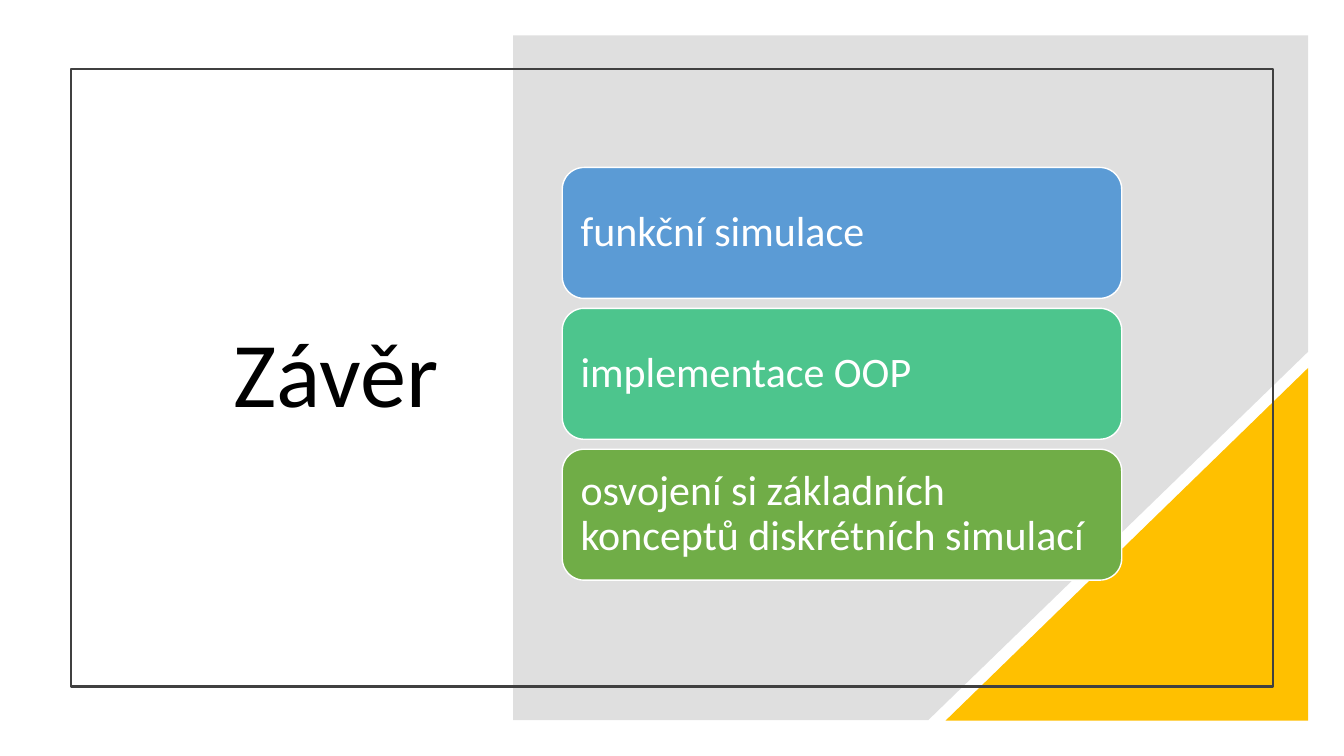
import pptx
import pptx.util
import pptx.dml.color
import pptx.enum.shapes
import pptx.enum.text
import lxml.etree

Cm, Pt = pptx.util.Cm, pptx.util.Pt
SHAPE = pptx.enum.shapes.MSO_SHAPE
ALIGN = pptx.enum.text.PP_ALIGN

TITLE = "Závěr"
CARDS = [
    ("funkční simulace", "5B9BD5"),
    ("implementace OOP", "4DC58D"),
    ("osvojení si základních konceptů diskrétních simulací", "70AD47"),
]
TITLE_BOX = (2.79, 3.3, 8.51, 12.45)
PANEL = [(12.93, 0.89), (32.97, 0.89), (32.97, 8.86), (23.39, 18.15), (12.93, 18.15)]
CORNER = (23.83, 9.27, 9.14, 8.89)
FRAME = (1.78, 1.73, 30.3, 15.57)
CARD_LEFT, CARD_TOP, CARD_W, CARD_H, CARD_GAP = 14.17, 4.22, 14.1, 3.3, 0.25
CARD_INSET = 0.3


def color(value):
    return pptx.dml.color.RGBColor.from_string(value)


def write(tf, text, size=30, fill="FFFFFF", align=ALIGN.LEFT):
    tf.word_wrap = True
    tf.auto_size = pptx.enum.text.MSO_AUTO_SIZE.NONE
    tf.vertical_anchor = pptx.enum.text.MSO_ANCHOR.MIDDLE
    p = tf.paragraphs[0]
    p.alignment = align
    p.line_spacing = 0.9
    r = p.add_run()
    r.text = text
    r.font.name = "Calibri"
    r.font.size = Pt(size)
    r.font.color.rgb = color(fill)


def paint(sp, fill=None, line=None, width=1):
    sp.shadow.inherit = False
    if fill:
        sp.fill.solid()
        sp.fill.fore_color.rgb = color(fill)
    else:
        sp.fill.background()
    if line:
        sp.line.color.rgb = color(line)
        sp.line.width = Pt(width)
    else:
        sp.line.fill.background()


def add_shape(s, kind, box, **look):
    sp = s.shapes.add_shape(kind, *(Cm(v) for v in box))
    paint(sp, **look)
    return sp


def add_panel(s):
    points = [(Cm(x), Cm(y)) for x, y in PANEL]
    builder = s.shapes.build_freeform(*points[0])
    builder.add_line_segments(points[1:], close=True)
    sp = builder.convert_to_shape()
    paint(sp, fill="808080")
    tint = sp.fill._xPr.find(".//" + pptx.oxml.ns.qn("a:srgbClr"))
    lxml.etree.SubElement(tint, pptx.oxml.ns.qn("a:alpha"), val="25000")


def add_cards(s):
    for i, (text, fill) in enumerate(CARDS):
        top = CARD_TOP + i * (CARD_H + CARD_GAP)
        sp = add_shape(s, SHAPE.ROUNDED_RECTANGLE, (CARD_LEFT, top, CARD_W, CARD_H),
                       fill=fill, line="FFFFFF")
        tf = sp.text_frame
        tf.margin_left = tf.margin_right = Cm(CARD_INSET)
        tf.margin_top = tf.margin_bottom = Cm(CARD_INSET)
        write(tf, text)


def main():
    prs = pptx.Presentation()
    prs.slide_width, prs.slide_height = Cm(33.87), Cm(19.05)
    s = prs.slides.add_slide(prs.slide_layouts[5])

    title = s.shapes.title
    title.left, title.top, title.width, title.height = (Cm(v) for v in TITLE_BOX)
    write(title.text_frame, TITLE, size=66, fill="000000", align=ALIGN.RIGHT)

    add_panel(s)
    corner = add_shape(s, SHAPE.RIGHT_TRIANGLE, CORNER, fill="FFC000")
    corner._element.spPr.find(pptx.oxml.ns.qn("a:xfrm")).set("flipH", "1")
    add_shape(s, SHAPE.RECTANGLE, FRAME, line="404040", width=1.5)
    add_cards(s)

    prs.save("out.pptx")


if __name__ == "__main__":
    main()
